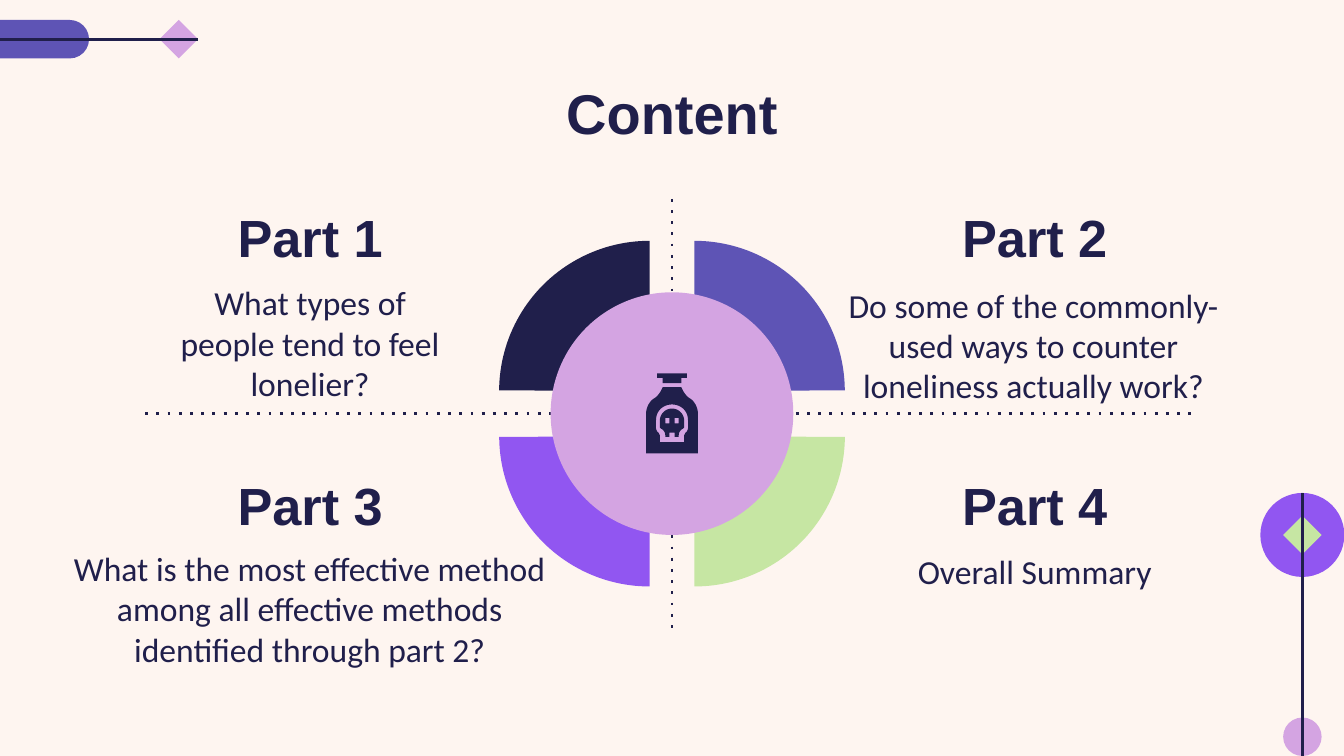
from dataclasses import dataclass

import pptx
import pptx.dml.color
import pptx.enum.shapes
import pptx.enum.text
import pptx.oxml.ns
import pptx.util
from lxml import etree

Pt = pptx.util.Pt
SHAPES = pptx.enum.shapes.MSO_SHAPE
ANCHOR = pptx.enum.text.MSO_ANCHOR
Point = tuple[float, float]

COLORS = {"paper": "FEF5F0", "navy": "201F4B", "indigo": "5E54B5",
          "violet": "9156F1", "green": "C6E6A3", "orchid": "D4A4E2"}
CENTER_X, CENTER_Y = 360, 221.6
PIE_SIZE, PIE_GAP = 161.2, 12
HEADING_WIDTH = 155.5


@dataclass
class Part:
    heading: str
    body: str
    column: int
    row: int
    color: str
    body_left: float
    body_top: float
    body_width: float


@dataclass
class Ornament:
    kind: int
    left: float
    top: float
    width: float
    height: float
    color: str


@dataclass
class Rule:
    start: Point
    end: Point
    dotted: bool = False


PARTS = [
    Part("Part 1", "What types of people tend to feel lonelier?",
         0, 0, "navy", 88.4, 144, HEADING_WIDTH),
    Part("Part 2", "Do some of the commonly-used ways to counter loneliness actually work?",
         1, 0, "indigo", 436, 145.3, 235.4),
    Part("Part 3", "What is the most effective method among all effective methods "
         "identified through part 2?", 0, 1, "violet", 22.3, 286.3, 287.3),
    Part("Part 4", "Overall Summary", 1, 1, "green", 476.6, 288, HEADING_WIDTH),
]
ORNAMENTS = [
    Ornament(SHAPES.OVAL, 675.2, 264.1, 45, 45, "violet"),
    Ornament(SHAPES.DIAMOND, 687.4, 276.3, 20.6, 20.6, "green"),
    Ornament(SHAPES.OVAL, 687.4, 384.4, 20.6, 20.6, "orchid"),
    Ornament(SHAPES.ROUNDED_RECTANGLE, -49.5, 10.7, 97.2, 20.6, "indigo"),
    Ornament(SHAPES.DIAMOND, 85.5, 10.7, 20.6, 20.6, "orchid"),
]
ORNAMENT_RULES = [Rule((697.7, 264.1), (697.7, 405)), Rule((-34.6, 21), (106, 21))]
AXES = [Rule((77.8, CENTER_Y), (642.2, CENTER_Y), True),
        Rule((CENTER_X, 106.5), (CENTER_X, 336.5), True)]


def rgb(name: str) -> pptx.dml.color.RGBColor:
    return pptx.dml.color.RGBColor.from_string(COLORS[name])


def paint(shape, color: str) -> None:
    shape.shadow.inherit = False
    shape.fill.solid()
    shape.fill.fore_color.rgb = rgb(color)
    shape.line.fill.background()


def draw_ornament(page, item: Ornament):
    shape = page.shapes.add_shape(item.kind, Pt(item.left), Pt(item.top),
                                  Pt(item.width), Pt(item.height))
    paint(shape, item.color)
    if item.kind == SHAPES.ROUNDED_RECTANGLE:
        shape.adjustments[0] = 0.5
    return shape


def draw_rule(page, rule: Rule) -> None:
    line = page.shapes.add_connector(pptx.enum.shapes.MSO_CONNECTOR.STRAIGHT,
                                     *map(Pt, rule.start + rule.end))
    line.line.width = Pt(1.5)
    line.line.color.rgb = rgb("navy")
    if rule.dotted:
        outline = line.line._get_or_add_ln()
        etree.SubElement(outline, pptx.oxml.ns.qn("a:prstDash"), val="dot")
    etree.SubElement(line.element.spPr, pptx.oxml.ns.qn("a:effectLst"))


def draw_quadrant(page, part: Part) -> None:
    """Draw the quarter disc of a part, mirrored from the top left one."""
    left = CENTER_X - PIE_SIZE / 2 + PIE_GAP * (2 * part.column - 1)
    top = CENTER_Y - PIE_SIZE / 2 + PIE_GAP * (2 * part.row - 1)
    pie = draw_ornament(page, Ornament(SHAPES.PIE, left, top, PIE_SIZE, PIE_SIZE, part.color))
    pie.adjustments[0], pie.adjustments[1] = 108.22, 162
    pie.rotation = 180 * part.row
    if part.column != part.row:
        pie.element.spPr.xfrm.set("flipH", "1")


def write(box, text: str, size: float, font: str, bold: bool, anchor) -> None:
    frame = box.text_frame
    frame.word_wrap = True
    frame.auto_size = pptx.enum.text.MSO_AUTO_SIZE.NONE
    frame.vertical_anchor = anchor
    frame.margin_left = frame.margin_right = Pt(7.2)
    frame.margin_top = frame.margin_bottom = Pt(7.2)
    para = frame.paragraphs[0]
    para.text = text
    para.alignment = pptx.enum.text.PP_ALIGN.CENTER
    para.space_before = Pt(0)
    para.font.size = Pt(size)
    para.font.name = font
    para.font.bold = bold
    para.font.color.rgb = rgb("navy")


def draw_part_text(page, part: Part) -> None:
    body = page.shapes.add_textbox(Pt(part.body_left), Pt(part.body_top),
                                   Pt(part.body_width), Pt(48.2))
    write(body, part.body, 18, "Calibri", False, ANCHOR.TOP)
    heading = page.shapes.add_textbox(Pt(88.4 + 388.2 * part.column), Pt(106.7 + 144 * part.row),
                                      Pt(HEADING_WIDTH), Pt(43.9))
    write(heading, part.heading, 28, "Arial", True, ANCHOR.BOTTOM)


def curve(a: Point, b: Point, c: Point, d: Point, steps: int = 10) -> list[Point]:
    """Return points along a cubic Bezier curve."""
    points = []
    for step in range(steps + 1):
        t = step / steps
        weights = ((1 - t) ** 3, 3 * t * (1 - t) ** 2, 3 * t * t * (1 - t), t ** 3)
        points.append(tuple(sum(w * p[axis] for w, p in zip(weights, (a, b, c, d)))
                            for axis in (0, 1)))
    return points


def mirrored(half: list[Point]) -> list[Point]:
    """Close a right half, given from top to bottom, with its mirror image."""
    return half + [(-x, y) for x, y in reversed(half)]


def draw_outline(page, contours: list[list[Point]]) -> None:
    """Draw contours around the centre line; later ones are holes in the first."""
    placed = [[((CENTER_X + x) * 100, y * 100) for x, y in contour] for contour in contours]
    builder = page.shapes.build_freeform(*placed[0][0], scale=Pt(1) / 100)
    builder.add_line_segments(placed[0][1:], close=True)
    for hole in placed[1:]:
        builder.move_to(*hole[0])
        builder.add_line_segments(hole[1:], close=True)
    paint(builder.convert_to_shape(), "navy")


def draw_poison_bottle(page) -> None:
    cap = [(8, 200), (8, 202.4), (5, 202.4), (5, 205.2)]
    bottle = [*curve((5, 207.4), (5.8, 209.5), (7.2, 211.7), (9, 213.1)),
              *curve((9, 213.1), (12, 214.6), (13.9, 218.3), (13.9, 221.8)), (13.9, 242.9)]
    window = [*curve((0, 216.7), (4.3, 216.7), (8.6, 219.6), (8.6, 225.4)),
              *curve((8.6, 229), (8.6, 230.4), (7.9, 231.5), (7.2, 231.8)),
              (6.5, 233.3), (6.5, 236.9)]
    skull = [*curve((0, 218.9), (3.6, 218.9), (6.5, 221.8), (6.5, 225.4)), (6.5, 229),
             *curve((5.8, 229.7), (4.3, 230.4), (3.6, 231.8), (3.6, 233.3)),
             (3.6, 234), (1.4, 234), (1.4, 231.8)]
    eyes = [[(side * x, y) for x, y in ((1.4, 223.9), (3.6, 223.9), (3.6, 226.8), (1.4, 226.8))]
            for side in (-1, 1)]
    draw_outline(page, [mirrored(cap)])
    draw_outline(page, [mirrored(skull), *eyes])
    draw_outline(page, [mirrored(bottle), mirrored(window)])


def main() -> None:
    deck = pptx.Presentation()
    deck.slide_width, deck.slide_height = Pt(720), Pt(405)
    page = deck.slides.add_slide(deck.slide_layouts[5])
    page.background.fill.solid()
    page.background.fill.fore_color.rgb = rgb("paper")

    for ornament in ORNAMENTS:
        draw_ornament(page, ornament)
    for rule in ORNAMENT_RULES:
        draw_rule(page, rule)
    for part in PARTS:
        draw_quadrant(page, part)
    for axis in AXES:
        draw_rule(page, axis)

    title = page.shapes.title
    title.left, title.top, title.width, title.height = Pt(56.7), Pt(35.1), Pt(606.6), Pt(45.1)
    write(title, "Content", 30, "Arial", True, ANCHOR.TOP)
    for part in PARTS:
        draw_part_text(page, part)
    draw_ornament(page, Ornament(SHAPES.OVAL, CENTER_X - 65, CENTER_Y - 65, 130, 130, "orchid"))
    draw_poison_bottle(page)
    deck.save("out.pptx")


if __name__ == "__main__":
    main()
